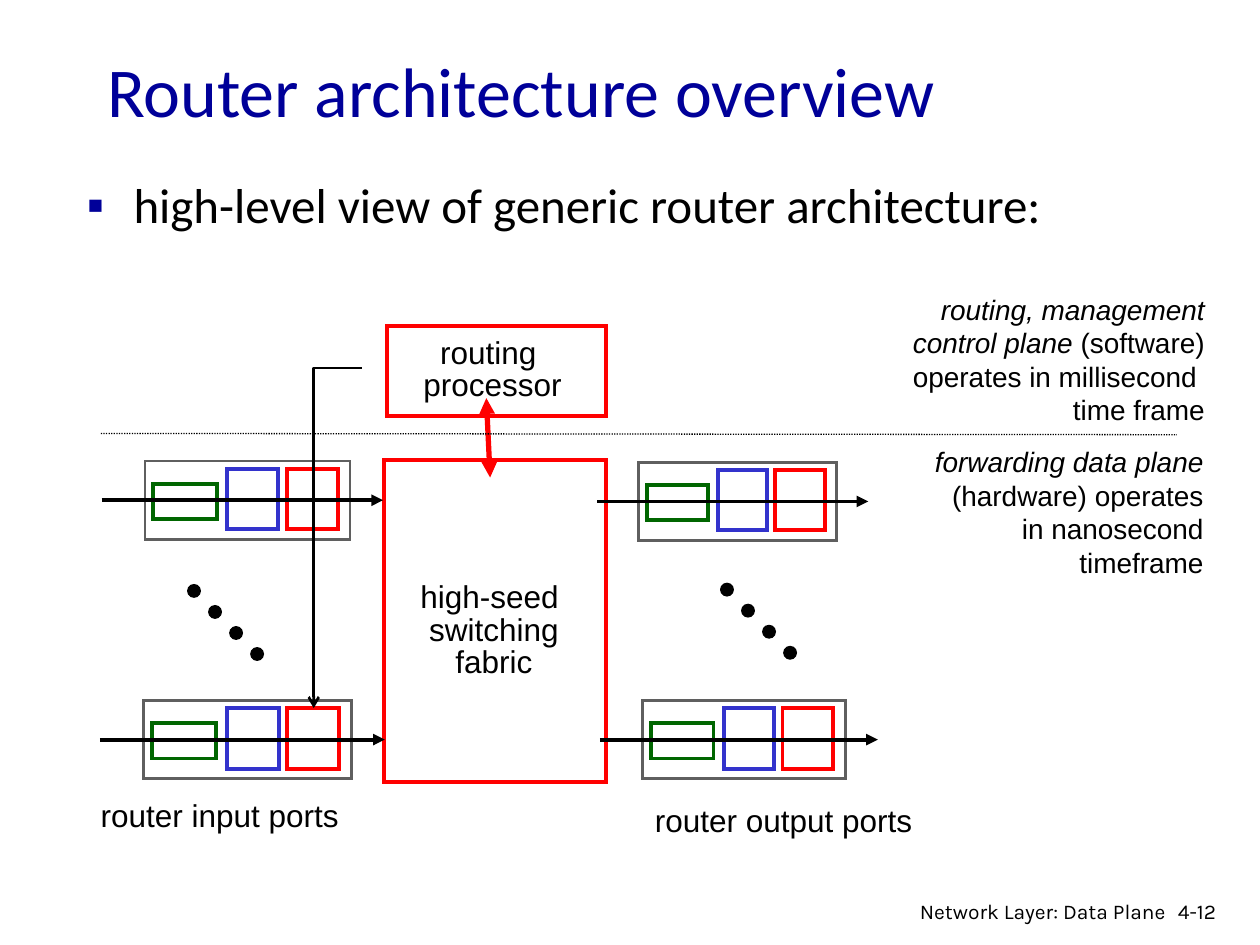
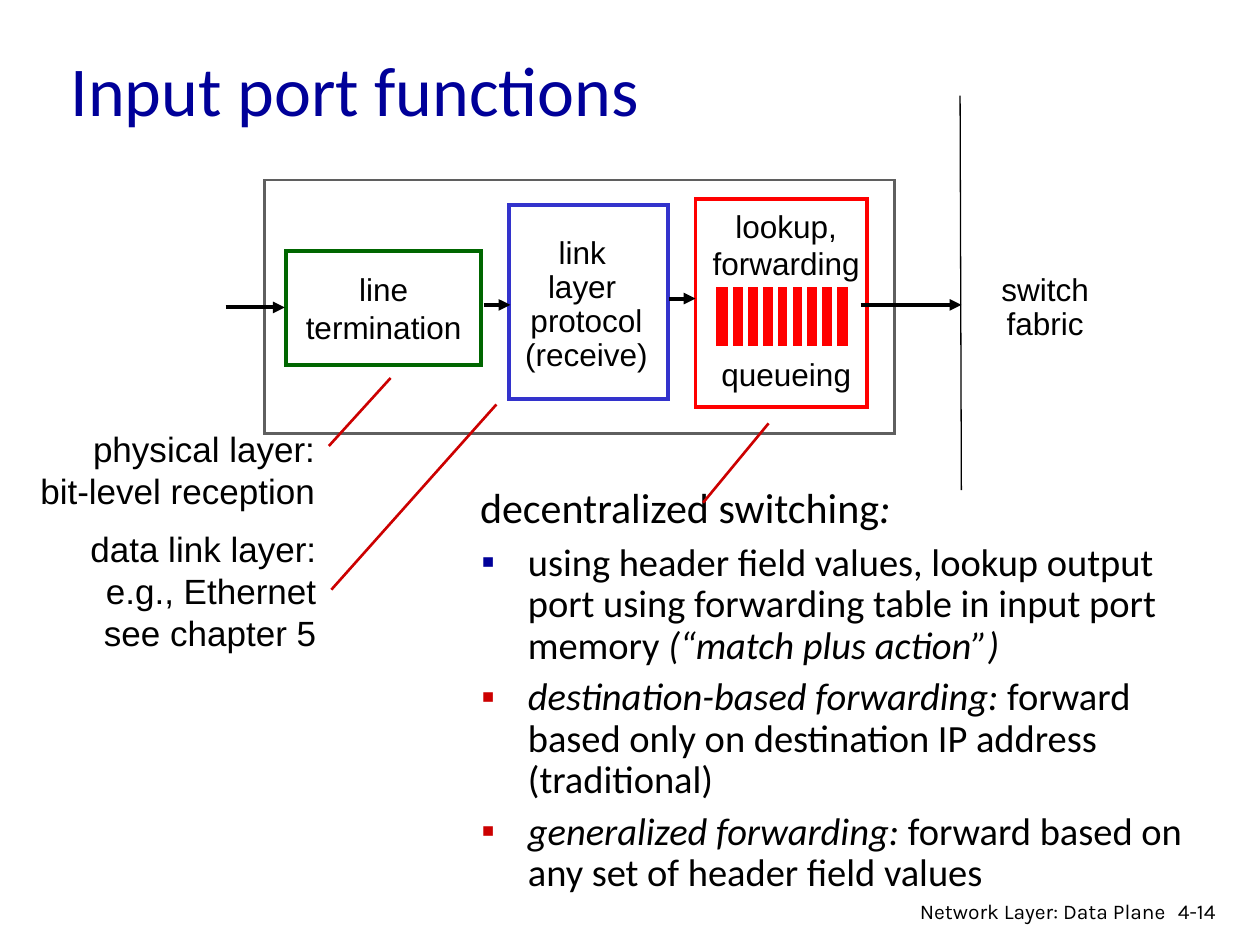
from lxml import etree
from pptx import Presentation
from pptx.dml.color import RGBColor
from pptx.enum.dml import MSO_LINE
from pptx.enum.shapes import MSO_CONNECTOR, MSO_SHAPE
from pptx.enum.text import MSO_ANCHOR, MSO_AUTO_SIZE, PP_ALIGN
from pptx.oxml.ns import qn
from pptx.util import Emu, Pt

RECT, OVAL = MSO_SHAPE.RECTANGLE, MSO_SHAPE.OVAL
STRAIGHT, ELBOW = MSO_CONNECTOR.STRAIGHT, MSO_CONNECTOR.ELBOW
TOP, MIDDLE = MSO_ANCHOR.TOP, MSO_ANCHOR.MIDDLE
LEFT, CENTER, RIGHT = PP_ALIGN.LEFT, PP_ALIGN.CENTER, PP_ALIGN.RIGHT


class Theme:
    black, white, grey = "000000", "FFFFFF", "5F5F5F"
    navy, red, crimson = "000099", "FF0000", "CC0000"
    green, blue = "006600", "3333CC"
    heading, label, footer = "Calibri", "Arial", "Karla"
    title_size, lead_size, intro_size, list_size = 40, 28, 24, 22
    callout_size, label_size, note_size, footer_size = 20, 18, 16, 12
    hair, thin, thick, heavy = 0.75, 1.5, 2.25, 3
    bullet, before = "▪", 5.6


# ---- Content: lengths in px, 100 px to the inch ----
FOOTER = "Network Layer: Data Plane"

OVERVIEW = {
    "title": ("Router architecture overview", (75, 33, 850, 67)),
    "number": "4-12",
    "body": (58, 141, 850, 64),
    "list": [("high-level view of generic router architecture:", Theme.lead_size, Theme.navy)],
}
# left, top, width of each port
PORTS = [(115, 366, 163), (114, 556, 165), (507, 367, 157), (510, 556, 161)]
# colour, left and width as shares of the port, top, height
PORT_STAGES = [
    (Theme.green, 0.04, 0.31, 18, 28),
    (Theme.blue, 0.4, 0.25, 6, 48),
    (Theme.red, 0.69, 0.25, 6, 48),
]
DOT_TRAILS = [(149, 464), (572, 463)]
PORT_LABELS = [("router input ports", (70, 627, 209, 40)),
               ("router output ports", (510, 631, 224, 40))]
PLANE_NOTES = [
    ((726, 348, 239, 116),
     [[("forwarding data plane ", True),
       ("(hardware) operates in nanosecond timeframe", False)]]),
    ((651, 227, 315, 116),
     [[("routing, management", True)],
      [("control plane ", True), ("(software)", False)],
      "operates in millisecond ",
      "time frame"]),
]

INPUT_PORT = {
    "title": ("Input port functions", (46, 32, 850, 67)),
    "number": "4-14",
    "body": (371, 382, 597, 292),
    "list": [
        ([("decentralized switching", False), (":", True)], Theme.intro_size, None),
        ([("using header field values, lookup output port using forwarding "
           "table in input port memory ", False),
          ("(“match plus action”)", True)], Theme.list_size, Theme.navy),
        ([("destination-based forwarding: ", True),
          ("forward based only on destination IP address (traditional)", False)],
         Theme.list_size, Theme.crimson),
        ([("generalized forwarding: ", True),
          ("forward based on any set of header field values", False)],
         Theme.list_size, Theme.crimson),
    ],
}
FLOW_ARROWS = [(179, 244, 226), (384, 242, 405), (531, 237, 552), (683, 242, 763)]
CALLOUTS = [
    ((12, 334, 248, 77), ["physical layer:", "bit-level reception"]),
    ((42, 414, 219, 110), ["data link layer:", "e.g., Ethernet", "see chapter 5"]),
]
LEADERS = [(261, 354, 310, 300), (263, 468, 394, 321), (558, 399, 610, 336)]


# ---- Helpers ----
def px(v):
    return Emu(round(v * 9144))


def rgb(colour):
    return RGBColor.from_string(colour)


def add_runs(p, content, font, size, colour=Theme.black):
    for text, italic in [(content, False)] if isinstance(content, str) else content:
        r = p.add_run()
        r.text = text
        r.font.name, r.font.size, r.font.italic = font, Pt(size), italic
        r.font.color.rgb = rgb(colour)


def write(sp, paragraphs, size, align=LEFT, spacing=1.0, anchor=TOP, wrap=False,
          font=Theme.label):
    tf = sp.text_frame
    tf.word_wrap, tf.vertical_anchor = wrap, anchor
    for i, content in enumerate(paragraphs):
        p = tf.add_paragraph() if i else tf.paragraphs[0]
        p.alignment, p.line_spacing = align, spacing
        add_runs(p, content, font, size)
    return tf


def label(s, at, paragraphs, size=Theme.label_size, **style):
    return write(s.shapes.add_textbox(*map(px, at)), paragraphs, size, **style)


def box(s, at, line=None, width=Theme.thick, fill=Theme.white, kind=RECT):
    sp = s.shapes.add_shape(kind, *map(px, at))
    sp.shadow.inherit = False
    sp.fill.solid()
    sp.fill.fore_color.rgb = rgb(fill)
    if line:
        sp.line.color.rgb = rgb(line)
        sp.line.width = Pt(width)
        etree.SubElement(sp._element.spPr.find(qn("a:ln")), qn("a:miter"), lim="800000")
    else:
        sp.line.fill.background()
    return sp


def line(s, ends, colour=Theme.black, width=Theme.thick, head=None, tail=None,
         dash=None, kind=STRAIGHT):
    c = s.shapes.add_connector(kind, *map(px, ends))
    c.line.color.rgb = rgb(colour)
    c.line.width = Pt(width)
    if dash:
        c.line.dash_style = dash
    sp_pr = c._element.spPr
    for tag, end in (("a:headEnd", head), ("a:tailEnd", tail)):
        if end:
            etree.SubElement(sp_pr.find(qn("a:ln")), qn(tag), type=end)
    etree.SubElement(sp_pr, qn("a:effectLst"))
    return c


def place(sp, at):
    sp.left, sp.top, sp.width, sp.height = map(px, at)
    tf = sp.text_frame
    tf.word_wrap, tf.vertical_anchor, tf.auto_size = True, TOP, MSO_AUTO_SIZE.NONE
    return tf


def set_bullet(p, colour):
    p_pr = p._p.get_or_add_pPr()
    p_pr.set("marL", str(px(38) if colour else 0))
    p_pr.set("indent", str(px(-37) if colour else 0))
    if colour:
        bu_clr = etree.SubElement(p_pr, qn("a:buClr"))
        etree.SubElement(bu_clr, qn("a:srgbClr"), val=colour)
        etree.SubElement(p_pr, qn("a:buChar"), char=Theme.bullet)
    else:
        etree.SubElement(p_pr, qn("a:buNone"))


def new_slide(prs, content, spacing):
    s = prs.slides.add_slide(prs.slide_layouts[1])
    title, at = content["title"]
    p = place(s.shapes.title, at).paragraphs[0]
    p.alignment = LEFT
    add_runs(p, title, Theme.heading, Theme.title_size, Theme.navy)

    tf = place(s.placeholders[1], content["body"])
    for i, (text, size, bullet) in enumerate(content["list"]):
        p = tf.add_paragraph() if i else tf.paragraphs[0]
        set_bullet(p, bullet)
        p.line_spacing, p.space_before = spacing, Pt(Theme.before if i else 0)
        add_runs(p, text, Theme.heading, size)

    footer = {"size": Theme.footer_size, "font": Theme.footer, "wrap": True}
    label(s, (925, 708, 61, 30), [content["number"]], **footer)
    label(s, (697, 708, 238, 26), [FOOTER], align=RIGHT, **footer)
    return s


# ---- Slides ----
def build_overview(prs):
    s = new_slide(prs, OVERVIEW, 0.85)

    # Switching fabric and routing processor
    centred = {"align": CENTER, "spacing": 0.85}
    box(s, (305, 365, 176, 256), Theme.red)
    label(s, (314, 458, 156, 86), ["high-seed ", "switching", "fabric"], **centred)
    box(s, (307, 259, 174, 71), Theme.red)
    label(s, (326, 264, 130, 61), ["routing ", "processor"], **centred)
    line(s, (386, 316, 389, 379), Theme.red, Theme.heavy, "triangle", "triangle")

    # Ports, each with three stages and an arrow through them
    for x, y, w in PORTS:
        box(s, (x, y, w, 62), Theme.grey, Theme.thin)
        for colour, left, share, top, h in PORT_STAGES:
            box(s, (x + left * w, y + top, share * w, h), colour)
        line(s, (x - 0.21 * w, y + 31, x + 1.16 * w, y + 31), tail="triangle")
    for x, y in DOT_TRAILS:
        for i in range(4):
            box(s, (x + 16.7 * i, y + 16.7 * i, 10, 10), Theme.black, Theme.hair,
                Theme.black, OVAL)
    for text, at in PORT_LABELS:
        label(s, at, [text])

    # Control plane above the dotted line, data plane below
    line(s, (80, 344, 934, 345), width=Theme.hair, dash=MSO_LINE.ROUND_DOT)
    for at, paragraphs in PLANE_NOTES:
        label(s, at, paragraphs, Theme.note_size, align=RIGHT, wrap=True)
    feed = line(s, (287, 292, 249, 562), width=Theme.thin, tail="arrow", kind=ELBOW)
    feed._element.spPr.find(qn("a:prstGeom")).set("prst", "bentConnector2")


def build_input_port(prs):
    s = new_slide(prs, INPUT_PORT, 0.9)

    # Port stages
    centred = {"size": Theme.label_size, "align": CENTER, "anchor": MIDDLE}
    box(s, (210, 143, 500, 201), Theme.grey, Theme.thin)
    write(box(s, (227, 199, 155, 91), Theme.green), ["line", "termination"], **centred)
    box(s, (404, 163, 126, 154), Theme.blue)
    box(s, (552, 158, 136, 165), Theme.red)
    for x1, y, x2 in FLOW_ARROWS:
        line(s, (x1, y, x2, y), tail="triangle")
    write(box(s, (408, 197, 115, 91)), ["link ", "layer ", "protocol", "(receive)"],
          spacing=0.9, **centred)
    lookup = label(s, (544, 159, 160, 160), ["lookup,", "forwarding", "queueing"],
                   align=CENTER)
    lookup.paragraphs[2].space_before = Pt(41.4)

    # Switch fabric
    line(s, (762, 76, 763, 389), width=Theme.hair)
    write(box(s, (772, 199, 115, 91)), ["switch", "fabric"], spacing=0.9, **centred)

    # Queue with eight dividers
    box(s, (566, 226, 109, 51), Theme.white, Theme.heavy, Theme.red)
    for i in range(8):
        x = 580 + 11.75 * i
        line(s, (x, 226, x, 275), Theme.white, Theme.heavy)

    # Callouts and their leader lines
    for at, paragraphs in CALLOUTS:
        label(s, at, paragraphs, Theme.callout_size, align=RIGHT)
    for ends in LEADERS:
        line(s, ends, Theme.crimson, Theme.thin)


def main():
    prs = Presentation()
    prs.slide_width, prs.slide_height = px(1000), px(750)
    build_overview(prs)
    build_input_port(prs)
    prs.save("out.pptx")


if __name__ == "__main__":
    main()
